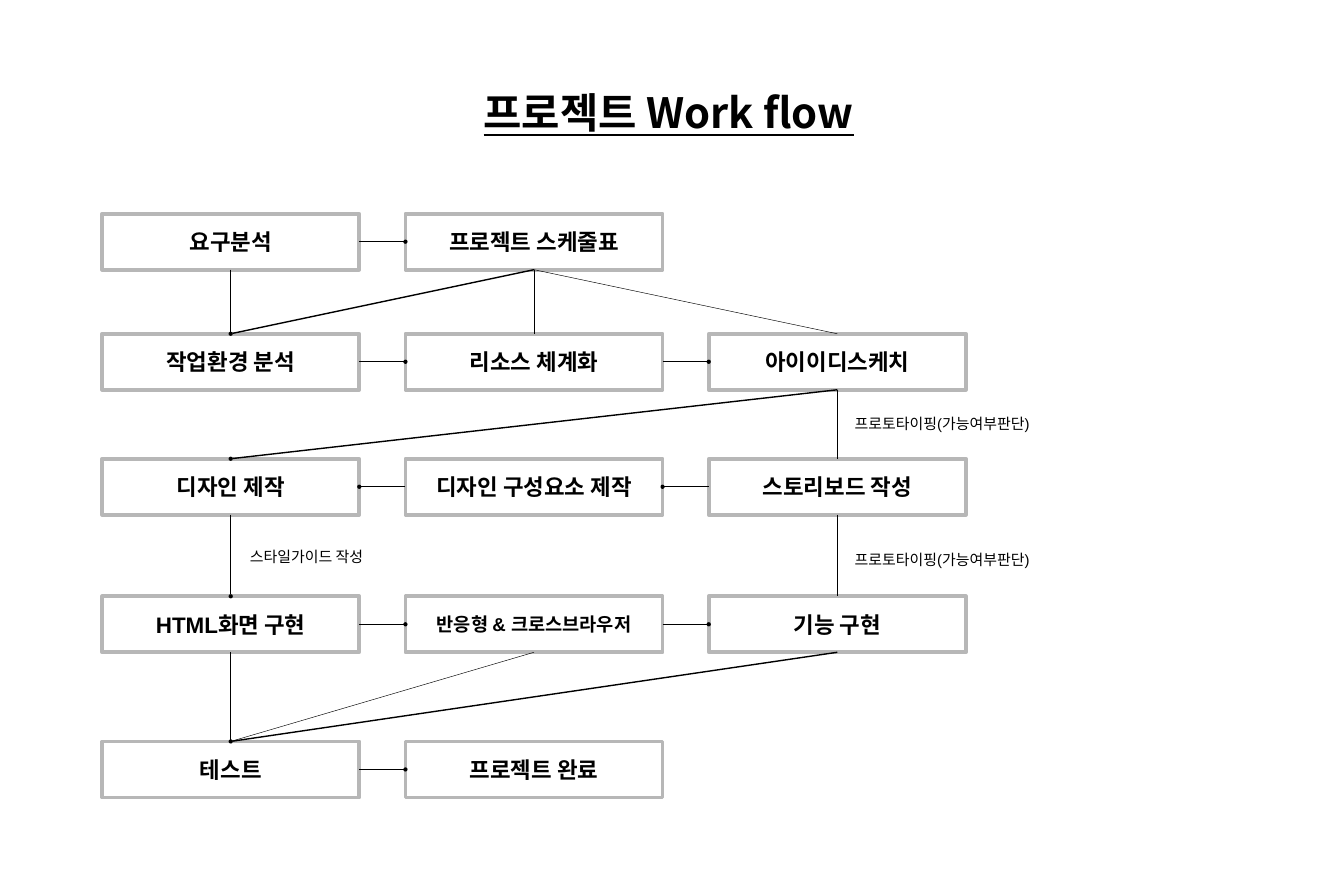
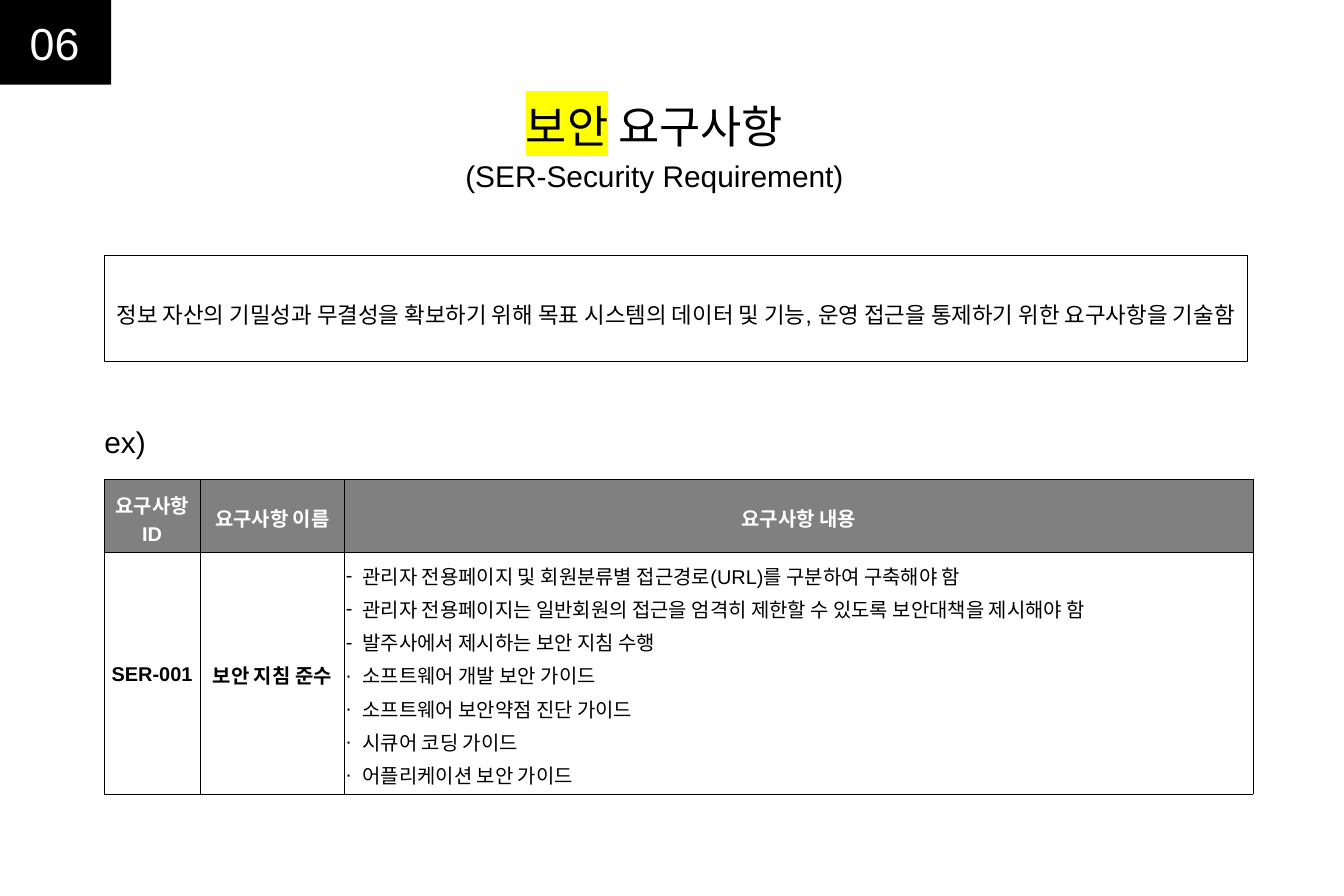
from lxml import etree
from pptx import Presentation
from pptx.dml.color import RGBColor
from pptx.enum import shapes, text
from pptx.oxml import ns
from pptx.util import Inches, Pt

LATIN, KOREAN = "Arial", "Noto Sans CJK KR"
BLACK, WHITE, GREY, HEAD, MARK = "000000", "FFFFFF", "B7B7B7", "808080", "FFFF00"
CENTER, LEFT = text.PP_ALIGN.CENTER, text.PP_ALIGN.LEFT
TOP, MIDDLE = text.MSO_ANCHOR.TOP, text.MSO_ANCHOR.MIDDLE
rgb = RGBColor.from_string


def put(p, words, size=36, color=BLACK, bold=False, underline=False, font=LATIN,
        mark=None, align=CENTER, spacing=None):
    """Add one formatted run to a paragraph."""
    p.alignment = align
    if spacing:
        p.line_spacing = spacing
    r = p.add_run()
    r.text = words
    f = r.font
    f.size, f.bold, f.underline, f.name = Pt(size), bold, underline, font
    f.color.rgb = rgb(color)
    rPr = r._r.get_or_add_rPr()
    rPr.find(ns.qn("a:latin")).addnext(
        etree.Element(ns.qn("a:ea"), typeface=KOREAN))
    if mark:
        hl = etree.Element(ns.qn("a:highlight"))
        etree.SubElement(hl, ns.qn("a:srgbClr"), val=mark)
        rPr.find(ns.qn("a:solidFill")).addnext(hl)


def frame(sp, x, y, w, h, inset=0.1, anchor=MIDDLE, fill=None, line=None, width=0):
    """Place a shape, style it, and return its text frame."""
    sp.left, sp.top, sp.width, sp.height = (Inches(v) for v in (x, y, w, h))
    if not sp.is_placeholder:
        sp.shadow.inherit = False
    if fill:
        sp.fill.solid()
        sp.fill.fore_color.rgb = rgb(fill)
    else:
        sp.fill.background()
    if line:
        sp.line.color.rgb = rgb(line)
        sp.line.width = Pt(width)
    else:
        sp.line.fill.background()
    tf = sp.text_frame
    tf.word_wrap, tf.auto_size, tf.vertical_anchor = True, text.MSO_AUTO_SIZE.NONE, anchor
    tf.margin_left = tf.margin_right = tf.margin_top = tf.margin_bottom = Inches(inset)
    return tf


prs = Presentation()
prs.slide_width, prs.slide_height = Inches(30), Inches(20)
layout = prs.slide_layouts.get_by_name("Title Only")
RECT = shapes.MSO_SHAPE.RECTANGLE

# Slide 1: work flow
s = prs.slides.add_slide(layout)
tf = frame(s.shapes.title, 1.48, 1.81, 26.89, 1.4, inset=0.21, anchor=TOP)
put(tf.paragraphs[0], "프로젝트 Work flow", size=67, bold=True, underline=True,
    font=KOREAN, spacing=0.96)

# Steps on a grid of three columns
COL_X, COL_STEP, BOX_W, BOX_H = 2.28, 6.77, 5.74, 1.25
ROW_Y = [4.77, 7.45, 10.24, 13.31, 16.55]
steps = [
    ["요구분석", "프로젝트 스케줄표"],
    ["작업환경 분석", "리소스 체계화", "아이이디스케치"],
    ["디자인 제작", "디자인 구성요소 제작", "스토리보드 작성"],
    ["HTML화면 구현", "반응형 & 크로스브라우저", "기능 구현"],
    ["테스트", "프로젝트 완료"],
]
boxes = {}
for row, names in enumerate(steps):
    for col, name in enumerate(names):
        sp = s.shapes.add_shape(RECT, 0, 0, 0, 0)
        tf = frame(sp, COL_X + col * COL_STEP, ROW_Y[row], BOX_W, BOX_H,
                   fill=WHITE, line=GREY, width=6)
        put(tf.paragraphs[0], name, size=30 if "&" in name else 36, bold=True)
        boxes[row, col] = sp

# Links: from (row, column), to (row, column), width, dot at the end
THIN, THICK = 0.75, 2.25
links = [
    ((0, 0), (0, 1), THICK, True),
    ((0, 0), (1, 0), THIN, False),
    ((0, 1), (1, 0), THICK, True),
    ((0, 1), (1, 1), THIN, False),
    ((0, 1), (1, 2), THIN, False),
    ((1, 0), (1, 1), THICK, True),
    ((1, 1), (1, 2), THICK, True),
    ((1, 2), (2, 0), THICK, True),
    ((1, 2), (2, 2), THIN, False),
    ((2, 2), (2, 1), THICK, True),
    ((2, 1), (2, 0), THICK, True),
    ((2, 0), (3, 0), THICK, True),
    ((2, 2), (3, 2), THIN, False),
    ((3, 0), (3, 1), THICK, True),
    ((3, 1), (3, 2), THICK, True),
    ((3, 0), (4, 0), THICK, False),
    ((3, 1), (4, 0), THIN, False),
    ((3, 2), (4, 0), THICK, True),
    ((4, 0), (4, 1), THICK, True),
]
for start, end, width, dot in links:
    if start[0] != end[0]:
        sides = 2, 0
    else:
        sides = (3, 1) if start[1] < end[1] else (1, 3)
    c = s.shapes.add_connector(shapes.MSO_CONNECTOR.STRAIGHT, 0, 0, 0, 0)
    c.begin_connect(boxes[start], sides[0])
    c.end_connect(boxes[end], sides[1])
    c.line.color.rgb = rgb(BLACK)
    c.line.width = Pt(width)
    if dot:
        etree.SubElement(c.line._get_or_add_ln(), ns.qn("a:tailEnd"), type="oval")
    etree.SubElement(c._element.spPr, ns.qn("a:effectLst"))

# Notes beside the links
for words, x, y in [("스타일가이드 작성", 5.48, 12.13),
                    ("프로토타이핑(가능여부판단)", 18.98, 9.15),
                    ("프로토타이핑(가능여부판단)", 18.98, 12.18)]:
    tf = frame(s.shapes.add_textbox(0, 0, 0, 0), x, y, 4.81, 0.64, anchor=TOP)
    put(tf.paragraphs[0], words, size=24, align=LEFT)

# Slide 2: security requirements
s = prs.slides.add_slide(layout)
tf = frame(s.shapes.title, 2.57, 1.81, 24.08, 3.12, inset=0.21, anchor=TOP)
p = tf.paragraphs[0]
put(p, "보안", size=72, mark=MARK, spacing=1.15)
put(p, " 요구사항", size=72)
put(tf.add_paragraph(), "(SER-Security Requirement)", size=48, spacing=1.15)

tf = frame(s.shapes.add_textbox(0, 0, 0, 0), 2.23, 9.36, 3.08, 1.34, anchor=TOP)
put(tf.paragraphs[0], "ex)", size=48, align=LEFT)

tf = frame(s.shapes.add_shape(RECT, 0, 0, 0, 0), 2.32, 5.69, 25.52, 2.38,
           inset=0.05, line=BLACK, width=0.75)
put(tf.paragraphs[0], "정보 자산의 기밀성과 무결성을 확보하기 위해 목표 시스템의 데이터 및 기능, "
    "운영 접근을 통제하기 위한 요구사항을 기술함", spacing=1.5)

# Requirement table
header = ["요구사항 ID", "요구사항 이름", "요구사항 내용"]
details = [
    ("-", "관리자 전용페이지 및 회원분류별 접근경로(URL)를 구분하여 구축해야 함"),
    ("-", "관리자 전용페이지는 일반회원의 접근을 엄격히 제한할 수 있도록 보안대책을 제시해야 함"),
    ("-", "발주사에서 제시하는 보안 지침 수행"),
    ("∙", "소프트웨어 개발 보안 가이드"),
    ("∙", "소프트웨어 보안약점 진단 가이드"),
    ("∙", "시큐어 코딩 가이드"),
    ("∙", "어플리케이션 보안 가이드"),
]
widths, heights = [2.15, 3.22, 20.28], [1.63, 4.9]
tbl = s.shapes.add_table(2, 3, Inches(2.32), Inches(10.7),
                         Inches(sum(widths)), Inches(sum(heights))).table
for column, w in zip(tbl.columns, widths):
    column.width = Inches(w)
for row, h in zip(tbl.rows, heights):
    row.height = Inches(h)

for cell in tbl.iter_cells():
    cell.vertical_anchor = MIDDLE
    cell.margin_left = cell.margin_right = Inches(0.03)
    cell.margin_top = cell.margin_bottom = Inches(0.1)
    cell.fill.background()
    tcPr = cell._tc.get_or_add_tcPr()
    for i, side in enumerate(["lnL", "lnR", "lnT", "lnB"]):
        ln = etree.Element(ns.qn("a:" + side), w=str(Pt(0.75)))
        fill = etree.SubElement(ln, ns.qn("a:solidFill"))
        etree.SubElement(fill, ns.qn("a:srgbClr"), val=BLACK)
        tcPr.insert(i, ln)

for col, words in enumerate(header):
    cell = tbl.cell(0, col)
    cell.fill.solid()
    cell.fill.fore_color.rgb = rgb(HEAD)
    put(cell.text_frame.paragraphs[0], words, size=32, color=WHITE, bold=True, spacing=1.15)
for col, words in enumerate(["SER-001", "보안 지침 준수"]):
    put(tbl.cell(1, col).text_frame.paragraphs[0], words, size=32, bold=True, spacing=1.15)

tf = tbl.cell(1, 2).text_frame
for i, (bullet, words) in enumerate(details):
    p = tf.add_paragraph() if i else tf.paragraphs[0]
    pPr = p._p.get_or_add_pPr()
    pPr.set("marL", str(Inches(0.37)))
    pPr.set("indent", str(-Inches(0.37)))
    etree.SubElement(pPr, ns.qn("a:buFont"), typeface=LATIN)
    etree.SubElement(pPr, ns.qn("a:buChar"), char=bullet)
    put(p, words, size=32, align=LEFT, spacing=1.15)

# Section number
tf = frame(s.shapes.add_shape(RECT, 0, 0, 0, 0), -0.04, -0.01, 2.52, 1.9, fill=BLACK)
put(tf.paragraphs[0], "06", size=72, color=WHITE)

prs.save("out.pptx")
